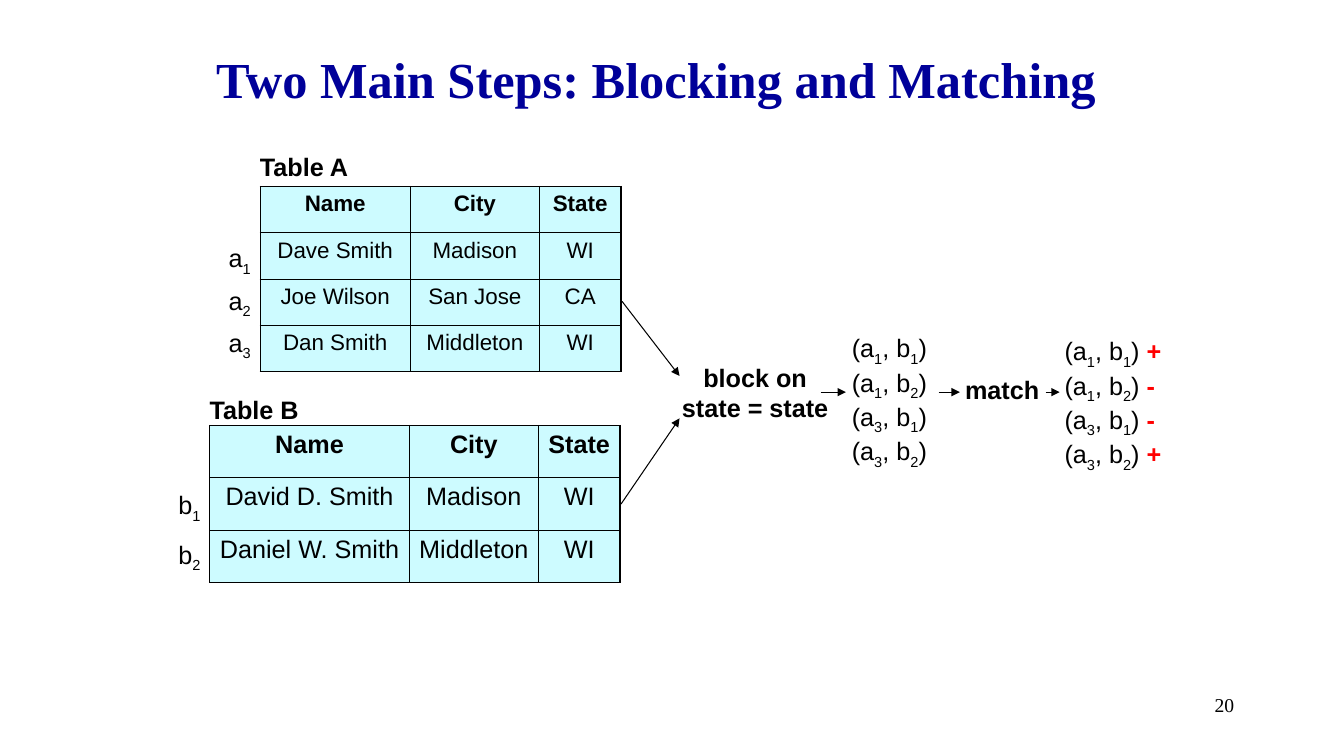
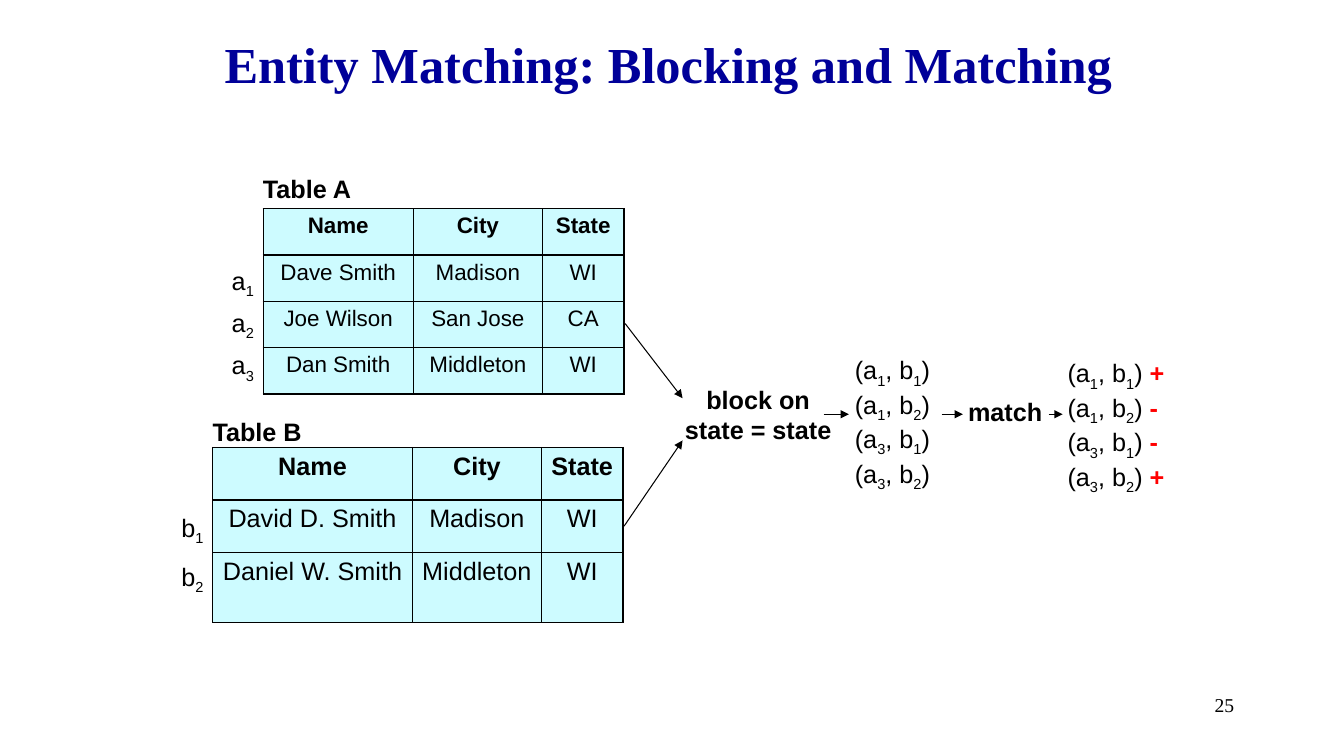
from dataclasses import dataclass
from itertools import groupby

from lxml.etree import SubElement
from pptx import Presentation
from pptx.dml.color import RGBColor
from pptx.enum.shapes import MSO_CONNECTOR
from pptx.enum.text import MSO_ANCHOR, MSO_AUTO_SIZE, PP_ALIGN
from pptx.oxml.ns import qn
from pptx.util import Pt

PX = 9144  # one px is a hundredth of an inch
COLORS = {"title": "000099", "text": "000000", "cell": "CDFBFF", "sign": "FF0000"}
SERIF, SANS = "Times New Roman", "Arial"
BODY_SIZE = 18
PAIRS = ["(a1, b1)", "(a1, b2)", "(a3, b1)", "(a3, b2)"]
SIGNS = ["+", "-", "-", "+"]


@dataclass
class Source:
    """One input table; offsets are measured from its own corner."""
    caption: str
    left: int
    top: int
    widths: list
    row_height: int
    size: int
    rows: list
    key: str
    key_top: int
    key_step: int
    caption_rise: int


HEADER = ["Name", "City", "State"]
SOURCES = [
    Source("Table A", 92, 40, [149, 128, 81], 46, 16,
           [HEADER, ["Dave Smith", "Madison", "WI"],
            ["Joe Wilson", "San Jose", "CA"], ["Dan Smith", "Middleton", "WI"]],
           "a", 51, 42, 40),
    Source("Table B", 42, 277, [198, 128, 81], 52, 18,
           [HEADER, ["David D. Smith", "Madison", "WI"],
            ["Daniel W. Smith", "Middleton", "WI"]],
           "b", 59, 49, 36),
]
# Start and end of each arrow, from the corner of the diagram
ARROWS = [((451, 154), (508, 228)), ((450, 355), (508, 270)),
          ((648, 244), (673, 244)), ((765, 244), (786, 244)),
          ((871, 244), (885, 244))]


def rgb(name):
    return RGBColor.from_string(COLORS[name])


def style(para, size, color="text", bold=False, face=SANS, align=PP_ALIGN.LEFT):
    para.alignment = align
    font = para.font
    font.name, font.size, font.bold = face, Pt(size), bold
    font.color.rgb = rgb(color)


def add_indexed(para, text):
    """Add text with its digits lowered as subscripts."""
    for is_index, chars in groupby(text, str.isdigit):
        span = para.add_run()
        span.text = "".join(chars)
        if is_index:
            span.font._element.set("baseline", "-25000")


def add_lines(page, left, top, width, height, lines, signs=(), indexed=False,
              size=BODY_SIZE, **look):
    box = page.shapes.add_textbox(left * PX, top * PX, width * PX, height * PX)
    frame = box.text_frame
    frame.word_wrap = True
    for number, line in enumerate(lines):
        para = frame.add_paragraph() if number else frame.paragraphs[0]
        style(para, size, **look)
        if indexed:
            add_indexed(para, line)
        else:
            para.text = line
        if signs:
            para.add_run().text = " "
            sign = para.add_run()
            sign.text = signs[number]
            sign.font.bold = True
            sign.font.color.rgb = rgb("sign")


def add_arrow(page, start, end):
    arrow = page.shapes.add_connector(
        MSO_CONNECTOR.STRAIGHT, *(value * PX for value in start + end))
    arrow.line.color.rgb = rgb("text")
    arrow.line.width = Pt(0.75)
    SubElement(arrow.line._get_or_add_ln(), qn("a:tailEnd"), type="triangle")
    SubElement(arrow._element.spPr, qn("a:effectLst"))


def format_cell(cell, text, size, bold):
    cell.text = text
    cell.margin_left = cell.margin_right = 5 * PX
    cell.margin_top = cell.margin_bottom = 5 * PX
    style(cell.text_frame.paragraphs[0], size, bold=bold, align=PP_ALIGN.CENTER)
    # Borders come before the fill in the cell's properties
    props = cell._tc.get_or_add_tcPr()
    for side in "LRTB":
        border = SubElement(props, qn(f"a:ln{side}"), w=str(Pt(1)))
        paint = SubElement(border, qn("a:solidFill"))
        SubElement(paint, qn("a:srgbClr"), val=COLORS["text"])
    cell.fill.solid()
    cell.fill.fore_color.rgb = rgb("cell")


def add_source(page, left, top, source, last_height):
    """Place a table with its caption above and its row keys at the left."""
    left, top = left + source.left, top + source.top
    heights = [source.row_height] * (len(source.rows) - 1) + [last_height]
    table = page.shapes.add_table(
        len(source.rows), len(source.widths), left * PX, top * PX,
        sum(source.widths) * PX, sum(heights) * PX).table
    table.first_row = table.horz_banding = False
    for column, width in zip(table.columns, source.widths):
        column.width = width * PX
    for number, texts in enumerate(source.rows):
        table.rows[number].height = heights[number] * PX
        for column, text in enumerate(texts):
            format_cell(table.cell(number, column), text, source.size, number == 0)

    add_lines(page, left - 10, top - source.caption_rise, 141, 40,
              [source.caption], bold=True)
    for number in range(1, len(source.rows)):
        key_top = top + source.key_top + (number - 1) * source.key_step
        add_lines(page, left - 41, key_top, 55, 40,
                  [f"{source.key}{number}"], indexed=True)


def add_diagram(page, left, top, last_heights):
    for source, last_height in zip(SOURCES, last_heights):
        add_source(page, left, top, source, last_height)

    # Steps and the pairs they give
    step = {"bold": True, "align": PP_ALIGN.CENTER}
    add_lines(page, left + 493, top + 209, 180, 71,
              ["block on", "state = state"], **step)
    add_lines(page, left + 669, top + 180, 102, 131, PAIRS, indexed=True)
    add_lines(page, left + 776, top + 221, 104, 40, ["match"], **step)
    add_lines(page, left + 880, top + 183, 120, 131, PAIRS, SIGNS, indexed=True)

    for start, end in ARROWS:
        add_arrow(page, (left + start[0], top + start[1]),
                  (left + end[0], top + end[1]))


def add_page(deck, title, title_box, number, origin, last_heights):
    page = deck.slides.add_slide(deck.slide_layouts.get_by_name("Title Only"))

    # Title
    head = page.shapes.title
    head.left, head.top, head.width, head.height = (v * PX for v in title_box)
    frame = head.text_frame
    frame.text = title
    frame.auto_size = MSO_AUTO_SIZE.NONE
    frame.vertical_anchor = MSO_ANCHOR.MIDDLE
    style(frame.paragraphs[0], 36, "title", True, SERIF, PP_ALIGN.CENTER)

    # Page number
    add_lines(page, 956, 683, 278, 50, [number], size=14, face=SERIF,
              align=PP_ALIGN.RIGHT)

    add_diagram(page, *origin, last_heights)


def main():
    deck = Presentation()
    deck.slide_width, deck.slide_height = 1333 * PX, 750 * PX
    add_page(deck, "Two Main Steps: Blocking and Matching ",
             (139, 40, 1036, 75), "20", (166, 145), (46, 52))
    add_page(deck, "Entity Matching: Blocking and Matching",
             (211, 25, 904, 75), "25", (169, 167), (46, 70))
    deck.save("out.pptx")


if __name__ == "__main__":
    main()
